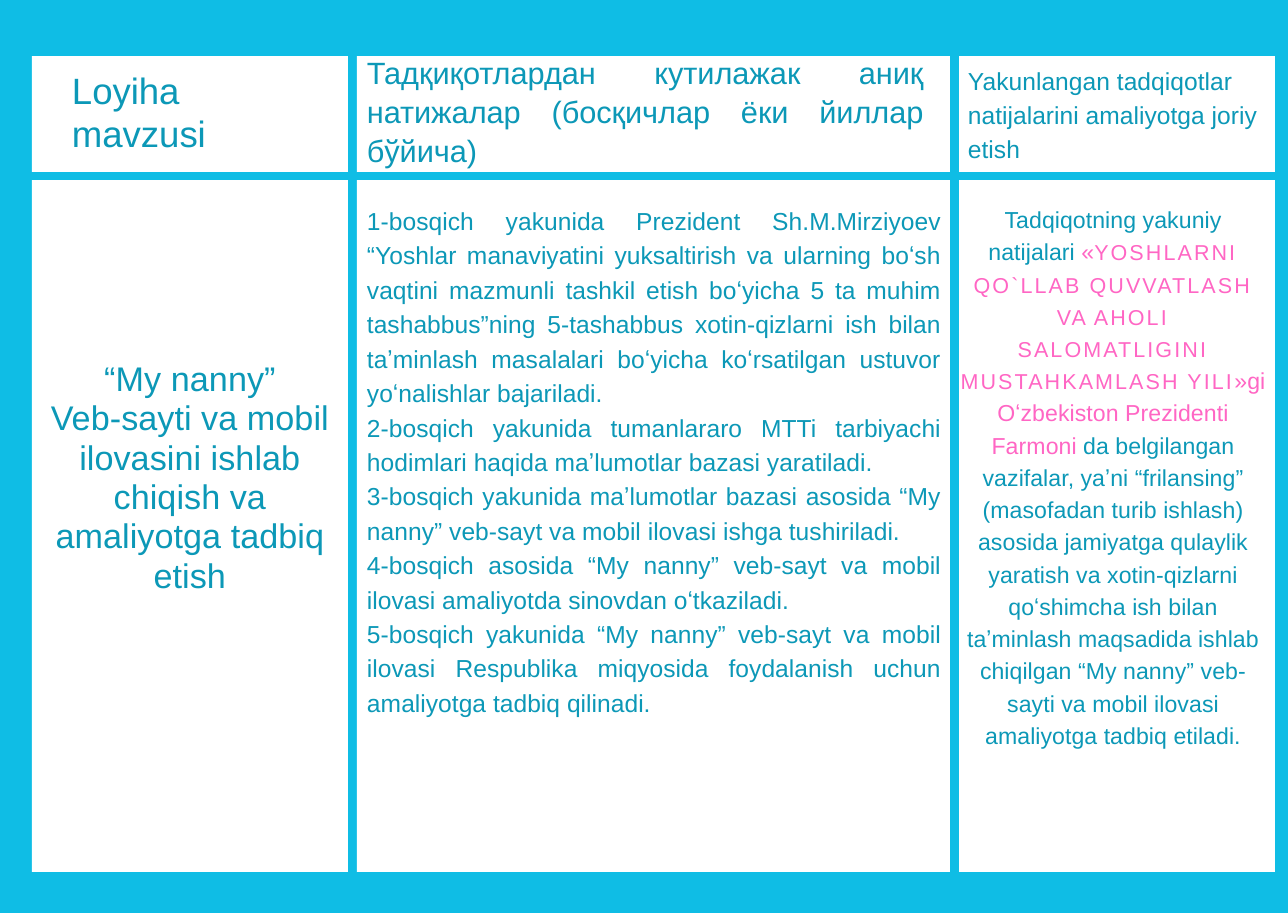
import pptx
import pptx.dml.color
import pptx.enum.shapes
import pptx.enum.text
import pptx.oxml.ns
import pptx.util
import lxml.etree

SKY = pptx.dml.color.RGBColor(0x0F, 0xBD, 0xE5)
WHITE = pptx.dml.color.RGBColor(0xFF, 0xFF, 0xFF)
TEAL = pptx.dml.color.RGBColor(0x0C, 0x98, 0xB7)
PINK = pptx.dml.color.RGBColor(0xFF, 0x66, 0xC4)
ALIGN = pptx.enum.text.PP_ALIGN
SCALE = 914400 / 221.3
FACE = "Arial"

COLS = (316, 593, 316)
ROWS = (116, 692)
LEFT, TOP = 32, 56
COL_GAP, ROW_GAP = 9, 8

PLAN = (
    "“My nanny”",
    "Veb-sayti va mobil ilovasini ishlab chiqish va amaliyotga tadbiq etish",
)
STAGES = (
    "1-bosqich yakunida Prezident Sh.M.Mirziyoev “Yoshlar manaviyatini yuksaltirish va "
    "ularning boʻsh vaqtini mazmunli tashkil etish boʻyicha 5 ta muhim tashabbus”ning "
    "5-tashabbus xotin-qizlarni ish bilan taʼminlash masalalari boʻyicha koʻrsatilgan "
    "ustuvor yoʻnalishlar bajariladi.",
    "2-bosqich yakunida tumanlararo MTTi tarbiyachi hodimlari haqida maʼlumotlar bazasi "
    "yaratiladi.",
    "3-bosqich yakunida maʼlumotlar bazasi asosida “My nanny” veb-sayt va mobil ilovasi "
    "ishga tushiriladi.",
    "4-bosqich asosida “My nanny” veb-sayt va mobil ilovasi amaliyotda sinovdan "
    "oʻtkaziladi.",
    "5-bosqich yakunida “My nanny” veb-sayt va mobil ilovasi Respublika miqyosida "
    "foydalanish uchun amaliyotga tadbiq qilinadi.",
)
RESULT = (
    ("Tadqiqotning yakuniy natijalari ", TEAL, 7.5, 0),
    ("«", PINK, 7.5, 0),
    ("YOSHLARNI QO`LLAB QUVVATLASH VA AHOLI SALOMATLIGINI MUSTAHKAMLASH YILI",
     PINK, 7, 70),
    ("»gi Oʻzbekiston Prezidenti Farmoni", PINK, 7.5, 0),
    (" da belgilangan vazifalar, yaʼni “frilansing” (masofadan turib ishlash) asosida "
     "jamiyatga qulaylik yaratish va xotin-qizlarni qoʻshimcha ish bilan taʼminlash "
     "maqsadida ishlab chiqilgan “My nanny” veb-sayti va mobil ilovasi amaliyotga "
     "tadbiq etiladi.", TEAL, 7.5, 0),
)


def px(count):
    return pptx.util.Emu(round(count * SCALE))


class Deck:
    def __init__(self, width, height):
        self.file = pptx.Presentation()
        self.file.slide_width, self.file.slide_height = px(width), px(height)
        self.slide = self.file.slides.add_slide(self.file.slide_layouts[1])
        self.slide.background.fill.solid()
        self.slide.background.fill.fore_color.rgb = SKY

    def card(self, *box):
        kind = pptx.enum.shapes.MSO_SHAPE.RECTANGLE
        card = self.slide.shapes.add_shape(kind, *map(px, box))
        card.shadow.inherit = False
        card.fill.solid()
        card.fill.fore_color.rgb = WHITE
        card.line.fill.background()

    def grid(self):
        top = TOP
        for height in ROWS:
            left = LEFT
            for width in COLS:
                self.card(left, top, width, height)
                left += width + COL_GAP
            top += height + ROW_GAP

    def frame(self, shape):
        frame = shape.text_frame
        frame.word_wrap = True
        frame.auto_size = pptx.enum.text.MSO_AUTO_SIZE.NONE
        frame.vertical_anchor = pptx.enum.text.MSO_ANCHOR.TOP
        frame.margin_left = frame.margin_right = 0
        frame.margin_top = frame.margin_bottom = 0
        return frame

    def style(self, para, size, lead, align):
        para.alignment = align
        para.line_spacing = pptx.util.Pt(lead)
        para.space_before = para.space_after = pptx.util.Pt(0)
        para.font.name = FACE
        para.font.size = pptx.util.Pt(size)
        para.font.color.rgb = TEAL

    def fill(self, shape, lines, size, lead, align):
        frame = self.frame(shape)
        for spot, line in enumerate(lines):
            para = frame.add_paragraph() if spot else frame.paragraphs[0]
            para.text = line
            self.style(para, size, lead, align)
        return frame

    def text(self, box, lines, size, lead, align=ALIGN.LEFT):
        shape = self.slide.shapes.add_textbox(*map(px, box))
        self.fill(shape, lines, size, lead, align)

    def place(self, shape, box):
        shape.left, shape.top, shape.width, shape.height = map(px, box)
        self.slide.shapes._spTree.append(shape._element)

    def title(self, box, line, size, lead):
        shape = self.slide.shapes.title
        self.place(shape, box)
        self.fill(shape, [line], size, lead, ALIGN.LEFT)

    def list(self, box, lines, size, lead):
        shape = self.slide.placeholders[1]
        self.place(shape, box)
        frame = self.fill(shape, lines, size, lead, ALIGN.JUSTIFY)
        for para in frame.paragraphs:
            props = para._p.get_or_add_pPr()
            props.set("marL", "0")
            props.set("indent", "0")
            plain = lxml.etree.Element(pptx.oxml.ns.qn("a:buNone"))
            props.find(pptx.oxml.ns.qn("a:defRPr")).addprevious(plain)

    def mixed(self, box, parts, size, lead):
        shape = self.slide.shapes.add_textbox(*map(px, box))
        para = self.frame(shape).paragraphs[0]
        self.style(para, size, lead, ALIGN.CENTER)
        for words, color, points, track in parts:
            run = para.add_run()
            run.text = words
            run.font.size = pptx.util.Pt(points)
            run.font.color.rgb = color
            if track:
                run._r.get_or_add_rPr().set("spc", str(track))

    def save(self):
        self.file.save("out.pptx")


def main():
    deck = Deck(1288, 913)
    deck.grid()
    deck.title((72, 69, 248, 92), "Loyiha mavzusi", 11.9, 13.9)
    deck.text((968, 61, 316, 102),
              ["Yakunlangan tadqiqotlar natijalarini amaliyotga joriy etish"], 8, 11.1)
    deck.text((367, 51, 556, 120),
              ["Тадқиқотлардан кутилажак аниқ натижалар (босқичлар ёки йиллар бўйича)"],
              10, 12.8, ALIGN.JUSTIFY)
    deck.list((367, 201, 575, 544), STAGES, 8, 11.2)
    deck.mixed((959, 201, 308, 586), RESULT, 7.5, 10.5)
    deck.text((46, 359, 288, 241), PLAN, 11.1, 12.8, ALIGN.CENTER)
    deck.save()


if __name__ == "__main__":
    main()
